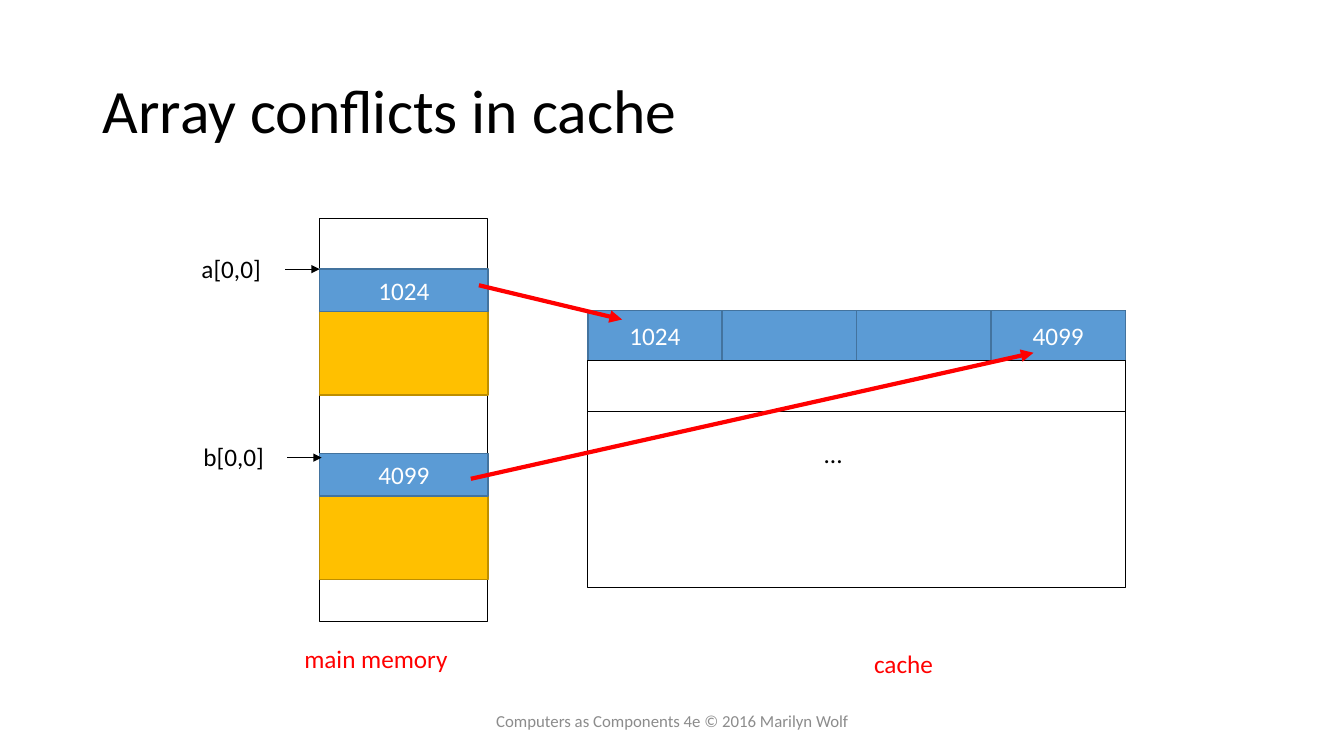
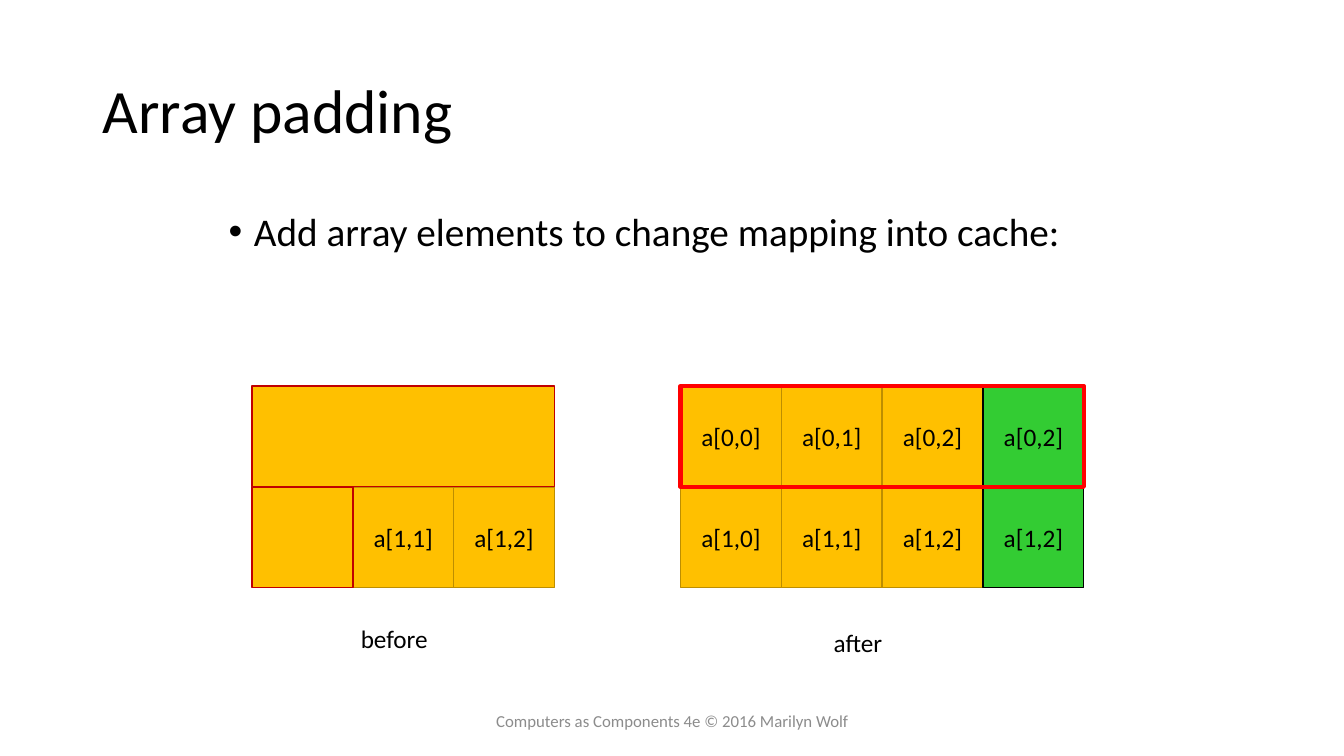
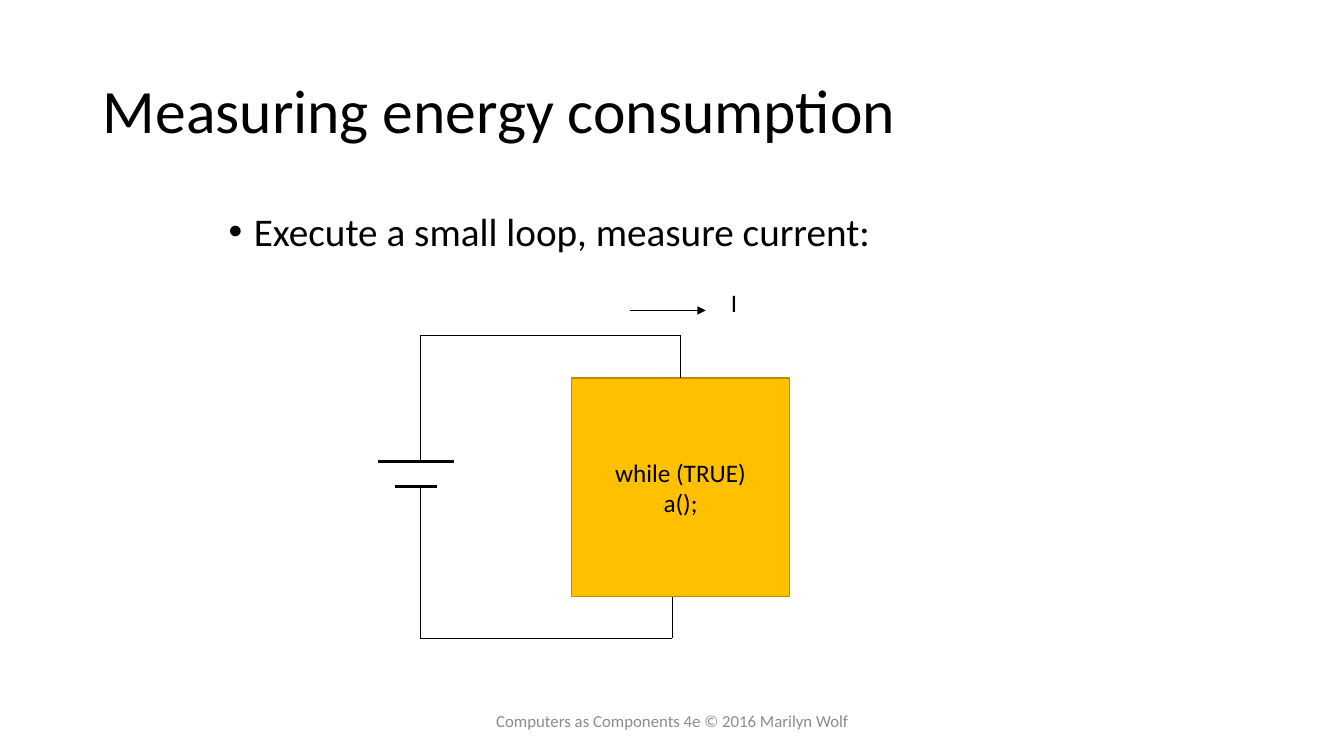
from lxml import etree
from pptx import Presentation
from pptx.dml.color import RGBColor
from pptx.enum.shapes import MSO_CONNECTOR, MSO_SHAPE
from pptx.enum.text import MSO_ANCHOR, MSO_AUTO_SIZE, PP_ALIGN
from pptx.oxml.ns import qn
from pptx.util import Inches, Pt

FONT = "Calibri"
COLORS = {
    "black": "000000", "white": "FFFFFF", "red": "FF0000", "grey": "8C8C8C",
    "gold": "FFC000", "gold_edge": "BD8E00", "dark_red": "C00000",
    "blue": "5B9BD5", "blue_edge": "43739E", "green": "33CC33",
}
FOOTER = "Computers as Components 4e © 2016 Marilyn Wolf"


def color(name):
    return RGBColor.from_string(COLORS[name])


def write(shape, text, size=18, ink="black", align=PP_ALIGN.LEFT,
          anchor=MSO_ANCHOR.TOP, wrap=False):
    frame = shape.text_frame
    frame.text = text
    frame.word_wrap = wrap
    frame.vertical_anchor = anchor
    for para in frame.paragraphs:
        para.alignment = align
        for span in para.runs:
            span.font.name = FONT
            span.font.size = Pt(size)
            span.font.color.rgb = color(ink)


def add_text(page, left, top, width, height, text, **style):
    box = page.shapes.add_textbox(Inches(left), Inches(top), Inches(width), Inches(height))
    write(box, text, **style)
    return box


def add_label(page, left, top, width, text, ink="black"):
    box = add_text(page, left, top, width, 0.4, text, ink=ink)
    box.text_frame.auto_size = MSO_AUTO_SIZE.SHAPE_TO_FIT_TEXT


def add_rect(page, left, top, width, height, fill=None, edge="black",
             weight=0.75, text="", ink="black"):
    rect = page.shapes.add_shape(MSO_SHAPE.RECTANGLE, Inches(left), Inches(top),
                                 Inches(width), Inches(height))
    rect.shadow.inherit = False
    if fill:
        rect.fill.solid()
        rect.fill.fore_color.rgb = color(fill)
    else:
        rect.fill.background()
    rect.line.color.rgb = color(edge)
    rect.line.width = Pt(weight)
    if text:
        write(rect, text, ink=ink, align=PP_ALIGN.CENTER, anchor=MSO_ANCHOR.MIDDLE)
    return rect


def add_gold(page, left, top, width, height, text="", edge="gold_edge"):
    return add_rect(page, left, top, width, height, "gold", edge, 1, text)


def add_blue(page, left, top, width, height, text=""):
    return add_rect(page, left, top, width, height, "blue", "blue_edge", 1, text, "white")


def add_line(page, start, end, ink="black", weight=0.75, arrow=False):
    ends = [Inches(length) for length in (*start, *end)]
    line = page.shapes.add_connector(MSO_CONNECTOR.STRAIGHT, *ends)
    line.line.color.rgb = color(ink)
    line.line.width = Pt(weight)
    if arrow:
        etree.SubElement(line.line._get_or_add_ln(), qn("a:tailEnd"), type="triangle")
    etree.SubElement(line._element.spPr, qn("a:effectLst"))
    return line


def add_page(deck, title):
    """Add a slide with the shared title and footer."""
    page = deck.slides.add_slide(deck.slide_layouts[5])
    heading = page.shapes.title
    heading.left, heading.top = Inches(0.92), Inches(0.4)
    heading.width, heading.height = Inches(11.5), Inches(1.45)
    write(heading, title, size=44, anchor=MSO_ANCHOR.MIDDLE, wrap=True)
    heading.text_frame.auto_size = MSO_AUTO_SIZE.NONE
    heading.text_frame.paragraphs[0].line_spacing = 0.9
    add_text(page, 4.42, 6.95, 4.5, 0.4, FOOTER, size=12, ink="grey",
             align=PP_ALIGN.CENTER, anchor=MSO_ANCHOR.MIDDLE, wrap=True)
    return page


def add_bullet(page, text, height):
    box = add_text(page, 2.17, 2.06, 8.94, height, text, size=28, wrap=True)
    para = box.text_frame.paragraphs[0]
    para.line_spacing = 0.9
    props = para._p.get_or_add_pPr()
    props.set("marL", str(Inches(0.25)))
    props.set("indent", str(Inches(-0.25)))
    etree.SubElement(props, qn("a:buFont"), typeface="Arial")
    etree.SubElement(props, qn("a:buChar"), char="•")


def draw_memory(page, left, top):
    width = 1.67
    add_rect(page, left, top, width, 4)
    arrays = [("a[0,0]", "1024", 0.5, 0.5, -0.34, -1.27),
              ("b[0,0]", "4099", 2.33, 2.37, -0.32, -1.25)]
    for name, address, offset, arrow_offset, arrow_left, name_left in arrays:
        add_gold(page, left, top + offset, width, 1.25)
        add_blue(page, left, top + offset, width, 0.42, address)
        arrow_top = top + arrow_offset
        add_line(page, (left + arrow_left, arrow_top),
                 (left + arrow_left + 0.34, arrow_top), arrow=True)
        add_label(page, left + name_left, arrow_top - 0.21, 0.8, name)
    add_label(page, left - 0.25, top + 4.16, 1.64, "main memory", "red")


def draw_cache(page, left, top):
    width, line_height = 5.33, 0.5
    add_rect(page, left, top, width, 2.75)
    for column, address in enumerate(["1024", "", "", "4099"]):
        add_blue(page, left + column * width / 4, top, width / 4, line_height, address)
    add_rect(page, left, top + line_height, width, line_height)
    add_label(page, left + 2.24, top + 1.22, 0.39, "...")
    add_label(page, left + 2.74, top + 3.3, 0.79, "cache", "red")


def draw_before(page, left, top):
    """Unpadded array: a first row of three cells that runs into the second."""
    for column in (1, 2):
        add_gold(page, left + column, top + 1, 1, 1, f"a[1,{column}]")
    add_gold(page, left, top, 3, 1, edge="dark_red")
    add_gold(page, left, top + 1, 1, 1, edge="dark_red")
    add_label(page, left + 0.98, top + 2.3, 0.87, "before")


def draw_after(page, left, top):
    """Padded array: each row gains a green fourth cell."""
    for row in range(2):
        for column in range(3):
            add_gold(page, left + column, top + row, 1, 1, f"a[{row},{column}]")
        add_rect(page, left + 3, top + row, 1, 1, "green", text=f"a[{row},2]")
    add_rect(page, left, top, 4, 1, edge="red", weight=3)
    add_label(page, left + 1.42, top + 2.34, 0.69, "after")


def draw_circuit(page, left, top):
    """Battery on the left, wired to the processor running the loop."""
    wire, bottom = left + 0.42, top + 3
    plus, minus = top + 1.25, top + 1.5
    feed, drain = left + 3, left + 2.92
    processor = add_gold(page, left + 1.92, top + 0.42, 2.16, 2.17, "while (TRUE)\na();")
    add_line(page, (left, plus), (left + 0.75, plus), weight=2.25)
    add_line(page, (left + 0.17, minus), (left + 0.58, minus), weight=2.25)
    wires = [
        [(wire, plus), (wire, top), (feed, top)],
        [(wire, minus), (wire, bottom), (drain, bottom), (drain, top + 2.59)],
    ]
    for points in wires:
        for start, end in zip(points, points[1:]):
            add_line(page, start, end)
    add_line(page, (feed, top), (feed, top + 0.42)).end_connect(processor, 0)
    add_line(page, (left + 2.5, top - 0.25), (left + 3.25, top - 0.25), arrow=True)
    add_label(page, left + 3.4, top - 0.53, 0.27, "I")


def main():
    deck = Presentation()
    deck.slide_width, deck.slide_height = Inches(13.33), Inches(7.5)

    page = add_page(deck, "Array conflicts in cache")
    draw_memory(page, 3.17, 2.17)
    draw_cache(page, 5.83, 3.08)
    for start, end in [((4.75, 2.83), (6.17, 3.17)), ((4.67, 4.75), (10.25, 3.5))]:
        add_line(page, start, end, "red", 3, arrow=True)

    page = add_page(deck, "Array padding")
    add_bullet(page, "Add array elements to change mapping into cache:", 1.27)
    draw_before(page, 2.5, 3.83)
    draw_after(page, 6.75, 3.83)

    page = add_page(deck, "Measuring energy consumption")
    add_bullet(page, "Execute a small loop, measure current:", 0.77)
    draw_circuit(page, 3.75, 3.33)

    deck.save("out.pptx")


if __name__ == "__main__":
    main()
